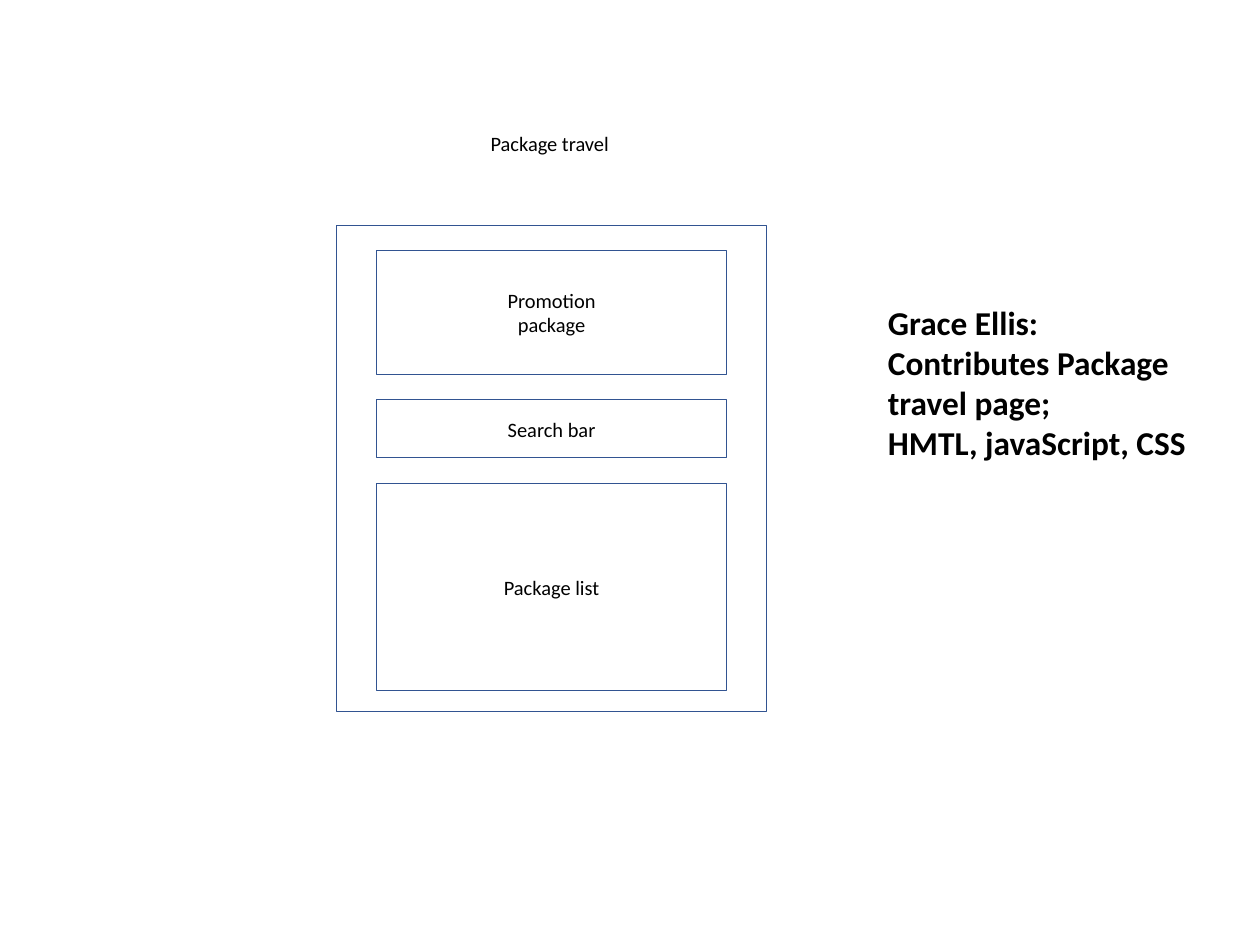
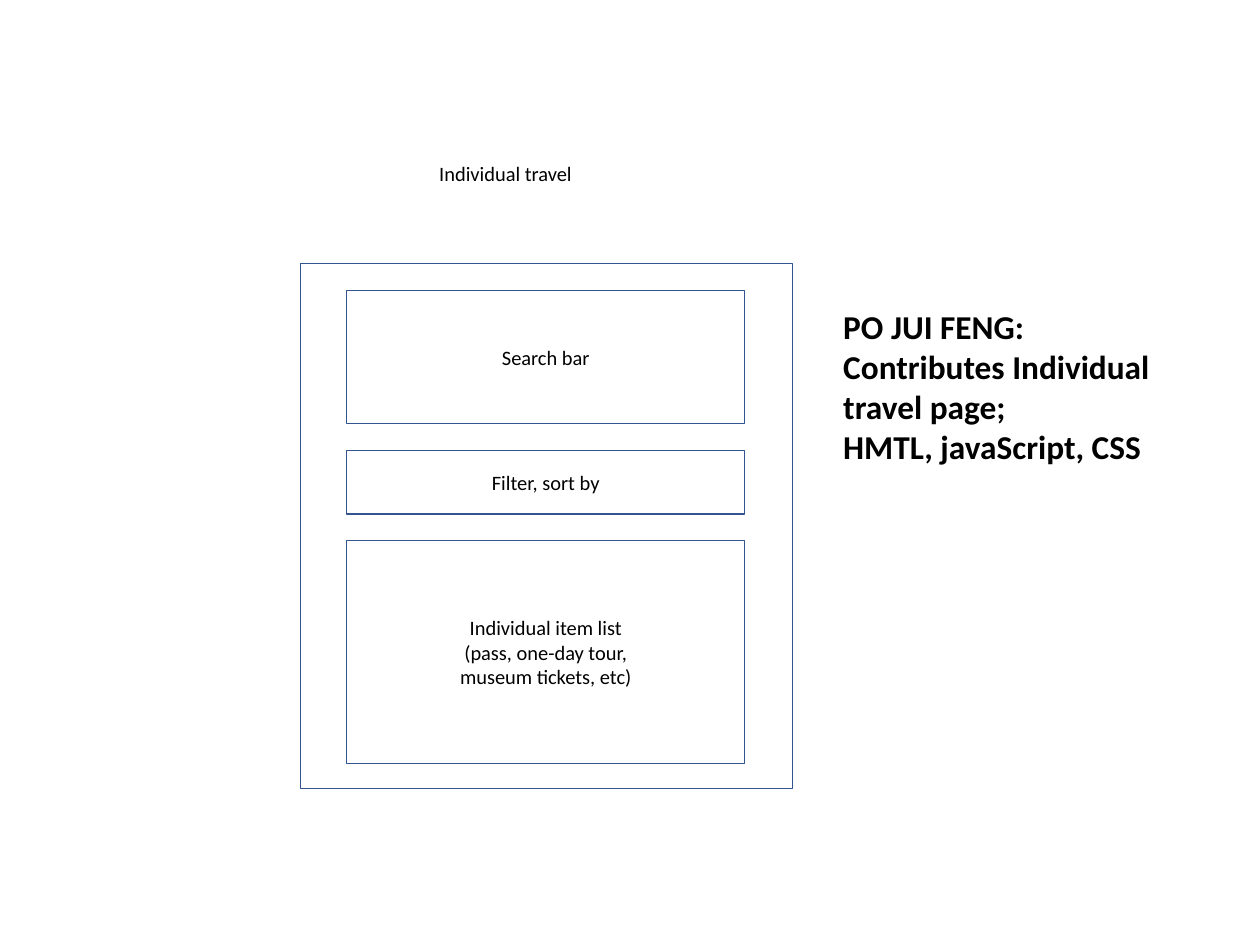
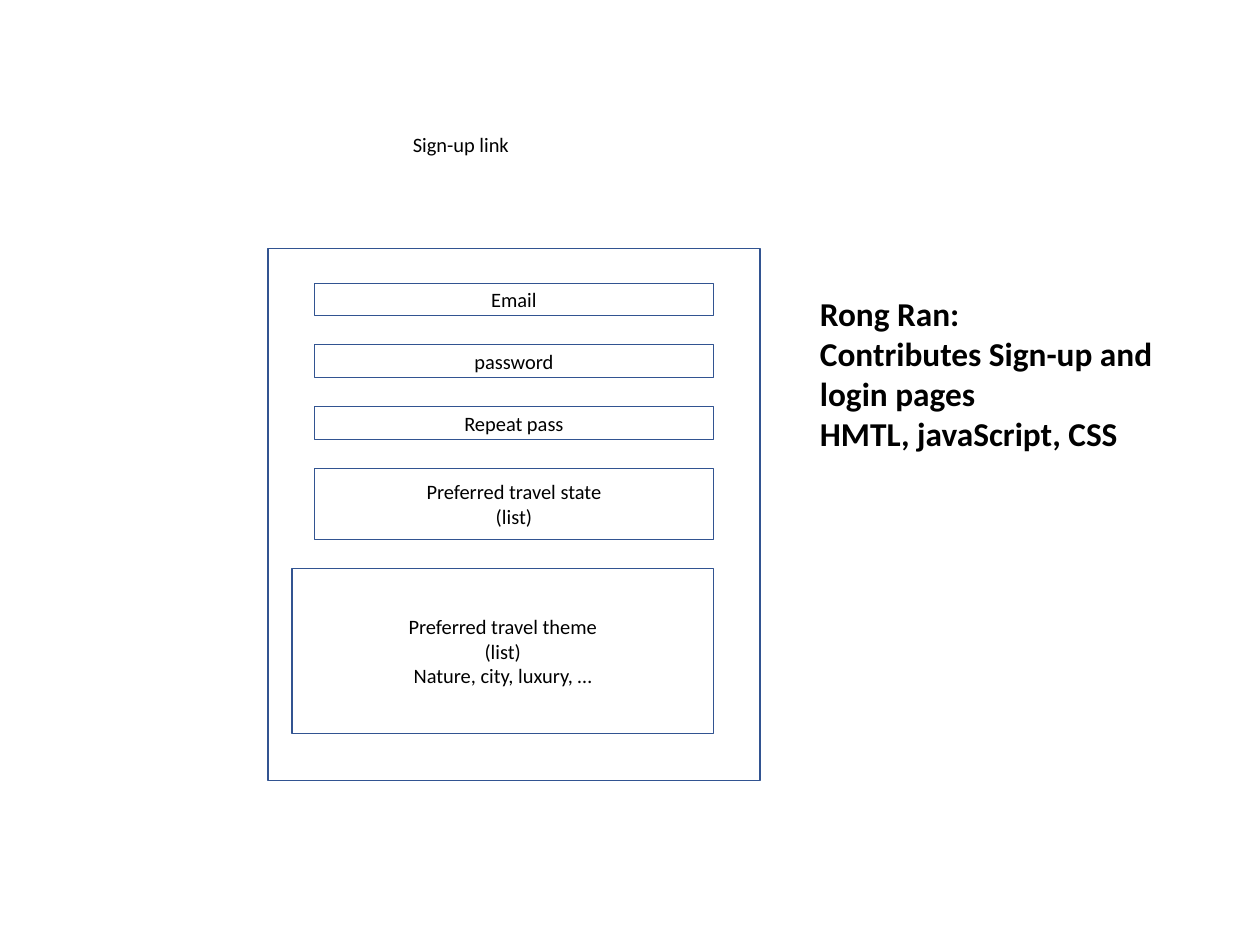
from dataclasses import dataclass

from pptx import Presentation
from pptx import util as u
from pptx.dml.color import RGBColor
from pptx.enum import shapes, text


@dataclass(frozen=True)
class Theme:
    """Colours, font and type sizes shared by all slides."""
    outline: RGBColor = RGBColor(0x32, 0x54, 0x91)
    ink: RGBColor = RGBColor(0, 0, 0)
    font: str = "Calibri"
    label_size: u.Pt = u.Pt(18.4)
    note_size: u.Pt = u.Pt(30)
    line_width: u.Pt = u.Pt(1)


theme = Theme()
label_format = {"name": theme.font, "size": theme.label_size, "bold": False}
note_format = {"name": theme.font, "size": theme.note_size, "bold": True}


def write(shape, words, font_format, align=text.PP_ALIGN.LEFT,
          anchor=text.MSO_ANCHOR.TOP):
    """Fill a shape with formatted paragraphs, one for each line of words."""
    frame = shape.text_frame
    frame_format = {"text": words, "word_wrap": True, "vertical_anchor": anchor,
                    "auto_size": text.MSO_AUTO_SIZE.NONE}
    for name, value in frame_format.items():
        setattr(frame, name, value)
    for paragraph in frame.paragraphs:
        paragraph.alignment = align
        paragraph.font.color.rgb = theme.ink
        for name, value in font_format.items():
            setattr(paragraph.font, name, value)


def add_box(slide, left, top, width, height):
    """Add an unfilled, outlined rectangle, measured in centimetres."""
    box = slide.shapes.add_shape(
        shapes.MSO_SHAPE.RECTANGLE, *map(u.Cm, (left, top, width, height)))
    box.shadow.inherit = False
    box.fill.background()
    box.line.color.rgb = theme.outline
    box.line.width = theme.line_width
    return box


# Lengths are centimetres. A section is (label, height, extra width on the left).
pages = [
    {
        "title": "Package travel",
        "title_at": (15.32, 4.04, 7.52, 2.77),
        "page_at": (10.67, 7.16, 13.67, 15.44),
        "stack": {"left": 11.96, "top": 7.95, "width": 11.1, "gap": 0.8},
        "sections": [
            ("Promotion\npackage", 3.94, 0),
            ("Search bar", 1.85, 0),
            ("Package list", 6.58, 0),
        ],
        "note": "Grace Ellis:\nContributes Package travel page;\nHMTL, javaScript, CSS",
        "note_at": (27.94, 9.47, 10.69, 6.68),
    },
    {
        "title": "Individual travel",
        "title_at": (13.69, 5, 9.83, 1.7),
        "page_at": (9.53, 8.38, 15.62, 16.64),
        "stack": {"left": 11, "top": 9.22, "width": 12.65, "gap": 0.85},
        "sections": [
            ("Search bar", 4.24, 0),
            ("Filter, sort by", 2.01, 0),
            ("Individual item list\n(pass, one-day tour,\nmuseum tickets, etc)", 7.06, 0),
        ],
        "note": "PO JUI FENG:\nContributes Individual travel page;\nHMTL, javaScript, CSS",
        "note_at": (26.52, 9.6, 12.57, 6.68),
    },
    {
        "title": "Sign-up link",
        "title_at": (12.85, 4.06, 7.42, 1.57),
        "page_at": (8.51, 7.9, 15.62, 16.87),
        "stack": {"left": 9.98, "top": 8.99, "width": 12.67, "gap": 0.92},
        "sections": [
            ("Email", 1.04, 0),
            ("password", 1.04, 0),
            ("Repeat pass", 1.04, 0),
            ("Preferred travel state\n(list)", 2.26, 0),
            ("Preferred travel theme\n(list)\nNature, city, luxury, …", 5.23, 0.71),
        ],
        "note": "Rong Ran:\nContributes Sign-up and login pages\nHMTL, javaScript, CSS",
        "note_at": (25.78, 9.19, 12.57, 5.38),
    },
]

presentation = Presentation()
presentation.slide_width = u.Cm(40)
presentation.slide_height = u.Cm(30)
title_only = presentation.slide_layouts.get_by_name("Title Only")

for page in pages:
    slide = presentation.slides.add_slide(title_only)

    title = slide.shapes.title
    for name, length in zip(("left", "top", "width", "height"), page["title_at"]):
        setattr(title, name, u.Cm(length))
    write(title, page["title"], label_format)

    add_box(slide, *page["page_at"])
    stack = page["stack"]
    top = stack["top"]
    for label, height, extra in page["sections"]:
        section = add_box(slide, stack["left"] - extra, top,
                          stack["width"] + extra, height)
        write(section, label, label_format,
              text.PP_ALIGN.CENTER, text.MSO_ANCHOR.MIDDLE)
        top += height + stack["gap"]

    note = slide.shapes.add_textbox(*map(u.Cm, page["note_at"]))
    write(note, page["note"], note_format)

presentation.save("out.pptx")
